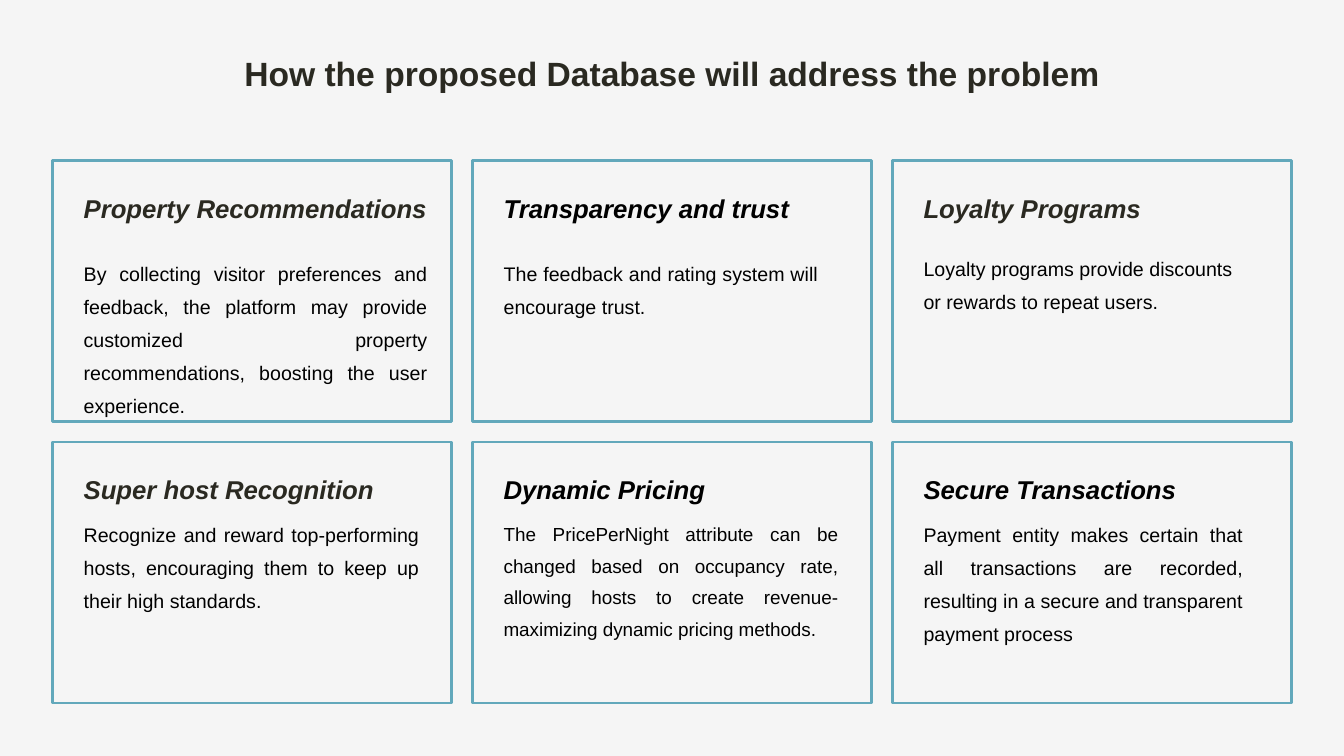
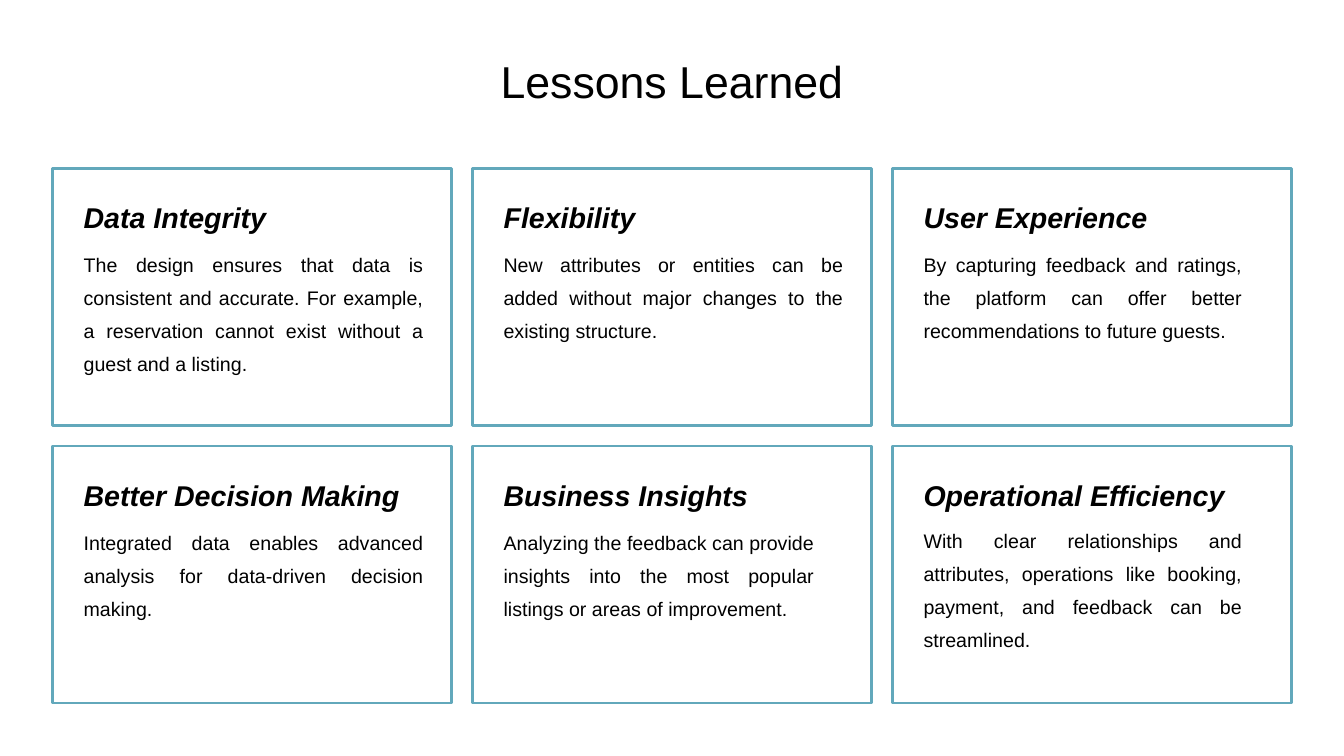
import dataclasses

import pptx
import pptx.dml.color
import pptx.enum.shapes
import pptx.enum.text
import pptx.util
from pptx.util import Inches

SLIDE_WIDTH, SLIDE_HEIGHT = 13.33, 7.5
FONT = "Arial"
BLACK, CHARCOAL, TEAL = "000000", "2A2921", "62A8BB"
COLUMNS = 3
MARGIN, CARD_WIDTH = 0.52, 3.96
GAP = (SLIDE_WIDTH - 2 * MARGIN - COLUMNS * CARD_WIDTH) / (COLUMNS - 1)
INDENT, HEADING_WIDTH = 0.31, 3.53
ALIGN = pptx.enum.text.PP_ALIGN


@dataclasses.dataclass
class Card:
    """A heading with its explanation, and where the explanation sits."""
    heading: str
    body: str
    body_width: float
    body_drop: float
    heading_color: str = BLACK
    body_size: float = 14
    body_align: ALIGN = ALIGN.JUSTIFY


@dataclasses.dataclass
class Theme:
    """The measures and colours that differ between the slides."""
    background: str
    title_top: float
    title_height: float
    title_size: float
    title_spacing: float
    title_color: str
    title_bold: bool
    cards_top: float
    card_height: float
    heading_drop: float
    heading_size: float


PROPOSAL_THEME = Theme("F5F5F5", 0.43, 0.41, 24, 1.23, CHARCOAL, True,
                       1.59, 2.59, 0.24, 18.4)
LESSONS_THEME = Theme("FFFFFF", 0.4, 0.56, 31.9, 1.26, BLACK, False,
                      1.67, 2.55, 0.23, 20.4)

PROPOSAL_CARDS = [
    Card("Property Recommendations",
         "By collecting visitor preferences and feedback, the platform may provide "
         "customized property recommendations, boosting the user experience.",
         3.41, 0.92, CHARCOAL),
    Card("Transparency and trust",
         "The feedback and rating system will encourage trust.", 3.12, 0.92),
    Card("Loyalty Programs",
         "Loyalty programs provide discounts or rewards to repeat users.",
         3.17, 0.87, CHARCOAL, body_align=ALIGN.LEFT),
    Card("Super host Recognition",
         "Recognize and reward top-performing hosts, encouraging them to keep up "
         "their high standards.", 3.33, 0.71, CHARCOAL),
    Card("Dynamic Pricing",
         "The PricePerNight attribute can be changed based on occupancy rate, "
         "allowing hosts to create revenue-maximizing dynamic pricing methods.",
         3.32, 0.71, body_size=13.5),
    Card("Secure Transactions",
         "Payment entity makes certain that all transactions are recorded, "
         "resulting in a secure and transparent payment process", 3.17, 0.71),
]

LESSONS_CARDS = [
    Card("Data Integrity",
         "The design ensures that data is consistent and accurate. For example, "
         "a reservation cannot exist without a guest and a listing.", 3.37, 0.75),
    Card("Flexibility",
         "New attributes or entities can be added without major changes to the "
         "existing structure.", 3.37, 0.75),
    Card("User Experience",
         "By capturing feedback and ratings, the platform can offer better "
         "recommendations to future guests.", 3.16, 0.75),
    Card("Better Decision Making",
         "Integrated data enables advanced analysis for data-driven decision "
         "making.", 3.37, 0.75),
    Card("Business Insights",
         "Analyzing the feedback can provide insights into the most popular "
         "listings or areas of improvement.", 3.08, 0.75),
    Card("Operational Efficiency",
         "With clear relationships and attributes, operations like booking, "
         "payment, and feedback can be streamlined.", 3.16, 0.73),
]


def rgb(color):
    """Turn a hex string into a colour."""
    return pptx.dml.color.RGBColor.from_string(color)


def write(frame, text, size, color, spacing, align=ALIGN.LEFT, bold=False, italic=False):
    """Fill a text frame with one formatted paragraph and no insets."""
    frame.word_wrap = True
    frame.auto_size = pptx.enum.text.MSO_AUTO_SIZE.NONE
    frame.vertical_anchor = pptx.enum.text.MSO_ANCHOR.TOP
    frame.margin_left = frame.margin_top = frame.margin_right = frame.margin_bottom = 0
    paragraph = frame.paragraphs[0]
    paragraph.text = text
    paragraph.alignment = align
    paragraph.line_spacing = spacing
    paragraph.space_before = pptx.util.Pt(0)
    font = paragraph.font
    font.name, font.size = FONT, pptx.util.Pt(size)
    font.bold, font.italic = bold, italic
    font.color.rgb = rgb(color)


def add_text(slide, left, top, width, height, *content, **style):
    """Add a text box holding one formatted paragraph."""
    box = slide.shapes.add_textbox(Inches(left), Inches(top), Inches(width), Inches(height))
    write(box.text_frame, *content, **style)


def add_title(slide, text, theme):
    """Place the slide title across the full width."""
    title = slide.shapes.title
    title.left, title.top = Inches(0), Inches(theme.title_top)
    title.width, title.height = Inches(SLIDE_WIDTH), Inches(theme.title_height)
    write(title.text_frame, text, theme.title_size, theme.title_color,
          theme.title_spacing, ALIGN.CENTER, theme.title_bold)


def add_card(slide, card, theme, left, top):
    """Draw an outlined card with its heading and explanation."""
    outline = slide.shapes.add_shape(
        pptx.enum.shapes.MSO_SHAPE.RECTANGLE, Inches(left), Inches(top),
        Inches(CARD_WIDTH), Inches(theme.card_height))
    outline.shadow.inherit = False
    outline.fill.background()
    outline.line.color.rgb = rgb(TEAL)
    outline.line.width = pptx.util.Pt(2)
    add_text(slide, left + INDENT, top + theme.heading_drop, HEADING_WIDTH, 0.36,
             card.heading, theme.heading_size, card.heading_color, 1.26,
             bold=True, italic=True)
    add_text(slide, left + INDENT, top + card.body_drop, card.body_width,
             theme.card_height - card.body_drop,
             card.body, card.body_size, BLACK, 1.4, align=card.body_align)


def add_card_slide(deck, title, cards, theme):
    """Add a slide with a title above a grid of cards."""
    slide = deck.slides.add_slide(deck.slide_layouts.get_by_name("Title Only"))
    slide.background.fill.solid()
    slide.background.fill.fore_color.rgb = rgb(theme.background)
    add_title(slide, title, theme)
    for index, card in enumerate(cards):
        row, column = divmod(index, COLUMNS)
        add_card(slide, card, theme, MARGIN + column * (CARD_WIDTH + GAP),
                 theme.cards_top + row * (theme.card_height + GAP))


def main():
    """Build and save the deck."""
    deck = pptx.Presentation()
    deck.slide_width, deck.slide_height = Inches(SLIDE_WIDTH), Inches(SLIDE_HEIGHT)
    add_card_slide(deck, "How the proposed Database will address the problem",
                   PROPOSAL_CARDS, PROPOSAL_THEME)
    add_card_slide(deck, "Lessons Learned", LESSONS_CARDS, LESSONS_THEME)
    deck.save("out.pptx")


if __name__ == "__main__":
    main()
